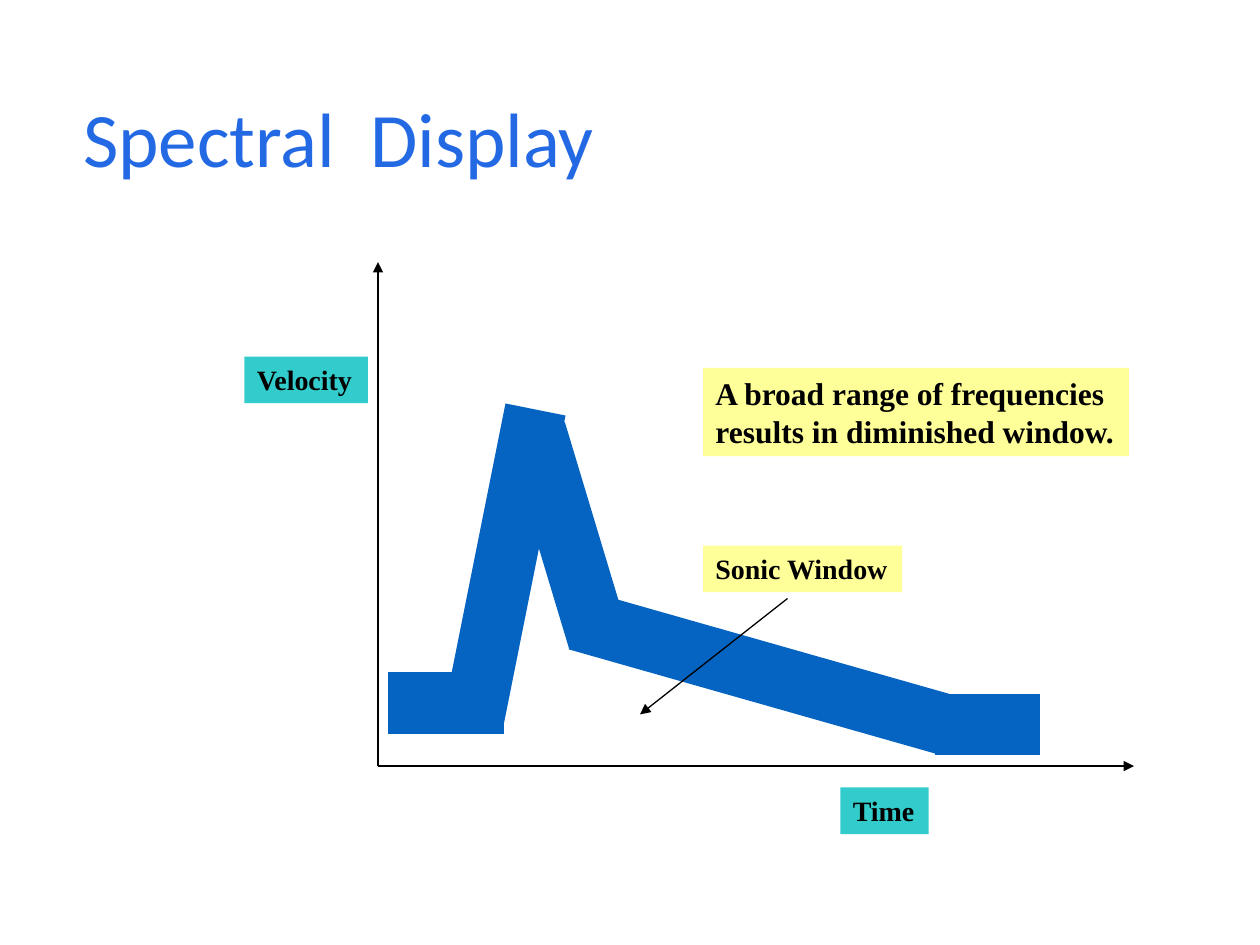
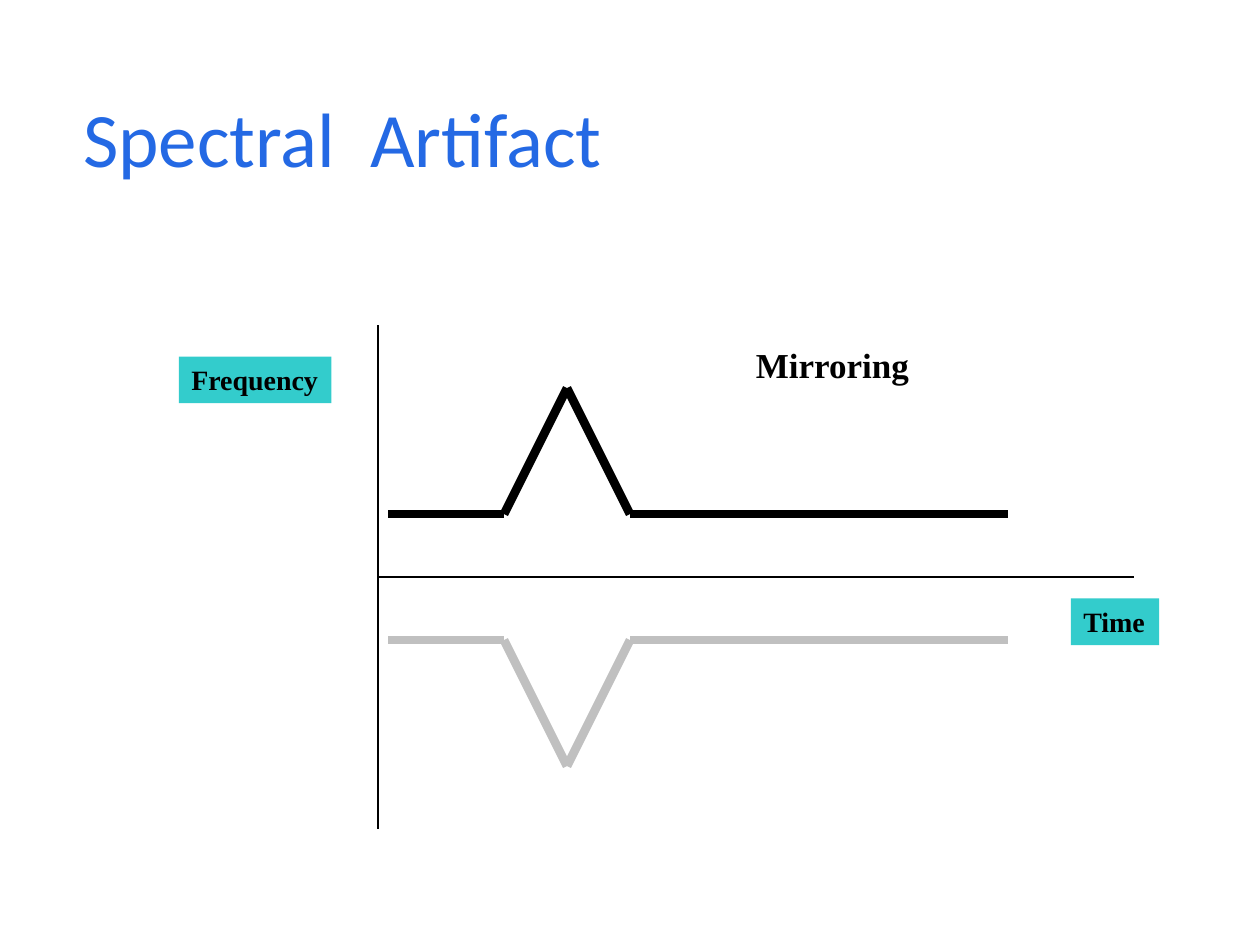
from itertools import pairwise

from lxml.etree import SubElement
from pptx import Presentation
from pptx.dml.color import RGBColor
from pptx.enum.shapes import MSO_CONNECTOR
from pptx.enum.text import MSO_ANCHOR, MSO_AUTO_SIZE, PP_ALIGN
from pptx.oxml.ns import qn
from pptx.util import Inches, Pt

TITLE_BLUE = RGBColor(0x24, 0x69, 0xE4)
BAND_BLUE = RGBColor(0x05, 0x63, 0xC1)
TEAL = RGBColor(0x33, 0xCC, 0xCC)
YELLOW = RGBColor(0xFF, 0xFF, 0x99)
GREY = RGBColor(0xC0, 0xC0, 0xC0)
BLACK = RGBColor(0, 0, 0)
TITLE_FONT = "Calibri"
LABEL_FONT = "Times New Roman"
THIN = 0.75


def add_line(slide, start, end, color=BLACK, width=THIN, arrow=False):
    """Draw a straight line, with an arrowhead at its end if asked."""
    connector = slide.shapes.add_connector(
        MSO_CONNECTOR.STRAIGHT, *(Inches(value) for value in (*start, *end)))
    connector.line.color.rgb = color
    connector.line.width = Pt(width)
    properties = connector._element.spPr
    if arrow:
        SubElement(properties.find(qn("a:ln")), qn("a:tailEnd"), type="triangle")
    SubElement(properties, qn("a:effectLst"))


def add_label(slide, lines, left, top, width, height, fill=None, size=16):
    """Place bold text in a box that fits it, one paragraph per line."""
    label = slide.shapes.add_textbox(
        Inches(left), Inches(top), Inches(width), Inches(height))
    if fill is not None:
        label.fill.solid()
        label.fill.fore_color.rgb = fill
    frame = label.text_frame
    frame.word_wrap = False
    frame.auto_size = MSO_AUTO_SIZE.SHAPE_TO_FIT_TEXT
    for index, line in enumerate(lines):
        paragraph = frame.add_paragraph() if index else frame.paragraphs[0]
        run = paragraph.add_run()
        run.text = line
        run.font.name = LABEL_FONT
        run.font.size = Pt(size)
        run.font.bold = True
        run.font.color.rgb = BLACK


presentation = Presentation()
presentation.slide_width = Inches(10)
presentation.slide_height = Inches(7.5)

# Titles
slides = []
for heading in ("Spectral  Display", "Spectral  Artifact"):
    slide = presentation.slides.add_slide(presentation.slide_layouts[5])
    title = slide.shapes.title
    title.left, title.top = Inches(0.42), Inches(0.67)
    title.width, title.height = Inches(9), Inches(0.92)
    frame = title.text_frame
    frame.auto_size = MSO_AUTO_SIZE.NONE
    frame.vertical_anchor = MSO_ANCHOR.MIDDLE
    frame.margin_left = Inches(0.24)
    paragraph = frame.paragraphs[0]
    paragraph.alignment = PP_ALIGN.LEFT
    paragraph.line_spacing = 0.9
    run = paragraph.add_run()
    run.text = heading
    run.font.name = TITLE_FONT
    run.font.size = Pt(44)
    run.font.color.rgb = TITLE_BLUE
    slides.append(slide)
display, artifact = slides

# Spectral display: axes, broad band of frequencies, window
origin = (3, 6.08)
add_line(display, origin, (3, 2.08), arrow=True)
add_line(display, origin, (9, 6.08), arrow=True)

band_segments = [
    ((3.08, 5.58), (4, 5.58)),
    ((3.75, 5.75), (4.25, 3.25)),
    ((4.25, 3.42), (4.75, 5.08)),
    ((4.58, 4.92), (7.5, 5.75)),
    ((7.42, 5.75), (8.25, 5.75)),
]
for start, end in band_segments:
    add_line(display, start, end, BAND_BLUE, 35)

add_label(display, ["Sonic Window"], 5.58, 4.33, 1.58, 0.37, YELLOW)
add_label(display, ["Velocity"], 1.94, 2.83, 0.98, 0.37, TEAL)
add_label(display, ["Time"], 6.67, 6.25, 0.7, 0.37, TEAL)
add_label(display,
          ["A broad range of frequencies", "results in diminished window."],
          5.58, 2.92, 3.38, 0.7, YELLOW, 18)
add_line(display, (6.25, 4.75), (5.08, 5.67), arrow=True)

# Spectral artifact: a waveform and its mirror image below the time axis
baseline = 4.58
add_line(artifact, (3, baseline - 2), (3, baseline + 2))
add_line(artifact, (3, baseline), (9, baseline))

waveform = [(3.08, 0.5), (4, 0.5), (4.5, 1.5), (5, 0.5), (8, 0.5)]
for direction, color in ((-1, BLACK), (1, GREY)):
    points = [(x, baseline + direction * height) for x, height in waveform]
    for start, end in pairwise(points):
        add_line(artifact, start, end, color, 5)

add_label(artifact, ["Frequency"], 1.42, 2.83, 1.21, 0.37, TEAL)
add_label(artifact, ["Time"], 8.5, 4.75, 0.7, 0.37, TEAL)
add_label(artifact, ["Mirroring"], 5.9, 2.68, 1.42, 0.43, size=20)

presentation.save("out.pptx")
